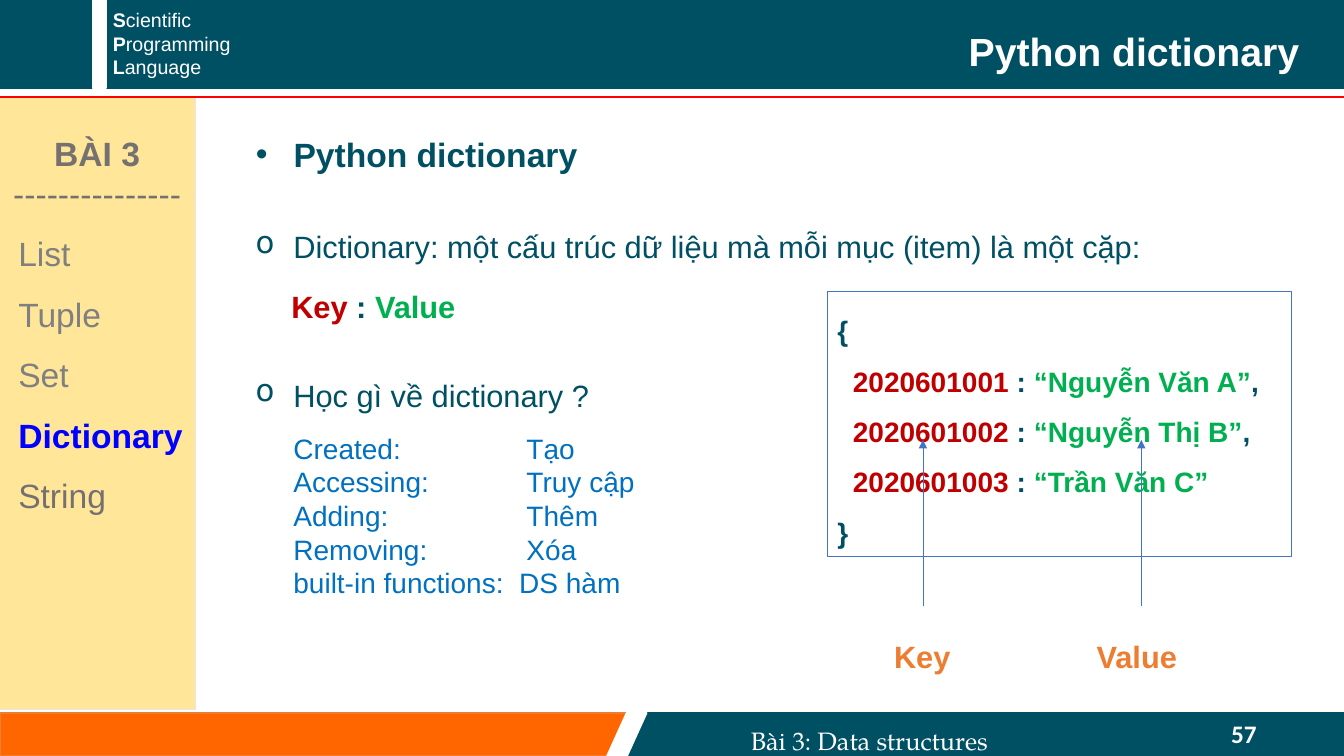
"""Build the Python dictionary slide of lesson 3."""
from pptx import Presentation
from pptx.dml.color import RGBColor
from pptx.enum.shapes import MSO_CONNECTOR, MSO_SHAPE
from pptx.enum.text import MSO_ANCHOR, MSO_AUTO_SIZE, PP_ALIGN
from pptx.oxml.ns import qn
from pptx.util import Pt
from lxml.etree import SubElement

PX = 9525
COLORS = {
    "teal": "005064", "white": "FFFFFF", "orange": "FF6600", "amber": "ED7D31",
    "red": "FF0000", "sand": "FFE699", "silver": "E7E6E6", "slate": "767171",
    "gray": "808080", "active": "0000FF", "key": "C00000", "value": "00B050",
    "blue": "4472C4", "sky": "0070C0",
}
RGB = {name: RGBColor.from_string(code) for name, code in COLORS.items()}


def add_block(kind, place, fill, line, width=1):
    block = page.shapes.add_shape(kind, *[n * PX for n in place])
    block.shadow.inherit = False
    if fill:
        block.fill.solid()
        block.fill.fore_color.rgb = RGB[fill]
    else:
        block.fill.background()
    block.line.color.rgb = RGB[line]
    block.line.width = Pt(width)
    return block


def write(box, place, lines, size, spacing=1.0, align=PP_ALIGN.LEFT, font="Arial"):
    box = box or page.shapes.add_textbox(0, 0, 0, 0)
    box.left, box.top, box.width, box.height = [n * PX for n in place]
    frame = box.text_frame
    frame.word_wrap = True
    frame.auto_size = MSO_AUTO_SIZE.NONE
    frame.vertical_anchor = MSO_ANCHOR.TOP
    for index, spans in enumerate(lines):
        para = frame.add_paragraph() if index else frame.paragraphs[0]
        para.alignment = align
        para.line_spacing = spacing
        para.space_before = Pt(0)
        for text, color, bold in spans:
            span = para.add_run()
            span.text = text
            span.font.name = font
            span.font.size = Pt(size)
            span.font.bold = bold
            span.font.color.rgb = RGB[color]
    return frame.paragraphs


deck = Presentation()
deck.slide_width, deck.slide_height = 1280 * PX, 720 * PX
page = deck.slides.add_slide(deck.slide_layouts[1])
title, body = page.placeholders

add_block(MSO_SHAPE.RECTANGLE, (0, 0, 1280, 84), "teal", "teal")
add_block(MSO_SHAPE.RECTANGLE, (88, 0, 13, 84), "white", "white")
course = ["Scientific", "Programming", "Language"]
write(None, (98, 3, 200, 78),
      [[(word[0], "white", True), (word[1:], "white", False)] for word in course], 14)

add_block(MSO_SHAPE.RECTANGLE, (0, 679, 597, 41), "orange", "amber")
add_block(MSO_SHAPE.RECTANGLE, (597, 679, 683, 41), "teal", "teal")
slash = add_block(MSO_SHAPE.PARALLELOGRAM, (578, 679, 38, 41), "white", "white")
slash.adjustments[0] = 0.49
write(None, (1163, 679, 103, 38), [[("57", "white", True)]], 18, font="Calibri")
write(None, (597, 680, 462, 44), [[("Bài 3: Data structures", "white", False)]], 18, 1.2,
      PP_ALIGN.CENTER, "TeX Gyre Pagella")

for placeholder in (title, body):
    placeholder.element.getparent().append(placeholder.element)
write(title, (322, 12, 925, 60), [[("Python dictionary", "white", True)]], 28, 1.2,
      PP_ALIGN.RIGHT)

bullets = [
    (body, (234, 115, 727, 52), "Python dictionary", "•", 24, 1.2, True),
    (None, (234, 195, 1010, 63),
     "Dictionary: một cấu trúc dữ liệu mà mỗi mục (item) là một cặp:", "o", 22, 1.5, False),
    (None, (234, 336, 382, 63), "Học gì về dictionary ?", "o", 22, 1.5, False),
]
for box, place, text, mark, size, spacing, bold in bullets:
    para = write(box, place, [[(text, "teal", bold)]], size, spacing)[0]
    properties = para._p.get_or_add_pPr()
    properties.set("marL", str(36 * PX))
    properties.set("indent", str(-36 * PX))
    SubElement(properties, qn("a:buChar")).set("char", mark)

topics = [("List", "gray", False), ("Tuple", "gray", False), ("Set", "gray", False),
          ("Dictionary", "active", True), ("String", "slate", False)]
sidebar_place = (-1, 93, 187, 583)
sidebar = add_block(MSO_SHAPE.RECTANGLE, sidebar_place, "sand", "silver")
sidebar.text_frame.margin_top = 14 * PX
menu = write(sidebar, sidebar_place,
             [[("BÀI 3", "slate", True)], [("-" * 15, "slate", False)]]
             + [[topic] for topic in topics], 24, 1.5)
menu[1].line_spacing = 1.0
for para in menu[:2]:
    para.alignment = PP_ALIGN.CENTER
for para in menu[2:]:
    para._p.get_or_add_pPr().set("marL", str(9 * PX))

write(None, (268, 252, 186, 63),
      [[("Key ", "key", True), (": ", "teal", True), ("Value", "value", True)]], 22, 1.5)

students = [("2020601001", "“Nguyễn Văn A”", ","), ("2020601002", "“Nguyễn Thị B”", ","),
            ("2020601003", "“Trần Văn C”", "")]
code = [[("{", "teal", True)]]
for number, name, comma in students:
    code.append([("  " + number, "key", True), (" : ", "teal", True),
                 (name, "value", True)])
    if comma:
        code[-1].append((comma, "teal", True))
code.append([("}", "teal", True)])
code_place = (788, 278, 442, 252)
code_box = add_block(MSO_SHAPE.RECTANGLE, code_place, None, "blue", 0.75)
write(code_box, code_place, code, 20, 1.5)

operations = [("Created:", "Tạo", 222), ("Accessing:", "Truy cập", 222),
              ("Adding:", "Thêm", 222), ("Removing:", "Xóa", 222),
              ("built-in functions:", "DS hàm", 215)]
rows = write(None, (270, 406, 446, 171),
             [[(f"{name}\t{meaning}", "sky", False)] for name, meaning, stop in operations], 20)
for para, (name, meaning, stop) in zip(rows, operations):
    tabs = SubElement(para._p.get_or_add_pPr(), qn("a:tabLst"))
    SubElement(tabs, qn("a:tab"), pos=str(stop * PX), algn="l")

for label, left in (("Key", 842), ("Value", 1035)):
    write(None, (left, 585, 103, 63), [[(label, "amber", True)]], 22, 1.5)

rules = [((0, 92, 1280, 92), "red", 1.5, False),
         ((879, 577, 879, 419), "blue", 0.5, True),
         ((1087, 577, 1087, 419), "blue", 0.5, True)]
for ends, color, width, arrow in rules:
    rule = page.shapes.add_connector(MSO_CONNECTOR.STRAIGHT, *[n * PX for n in ends])
    rule.line.color.rgb = RGB[color]
    rule.line.width = Pt(width)
    if arrow:
        SubElement(rule.line._get_or_add_ln(), qn("a:tailEnd")).set("type", "triangle")
    SubElement(rule.element.spPr, qn("a:effectLst"))

deck.save("out.pptx")
